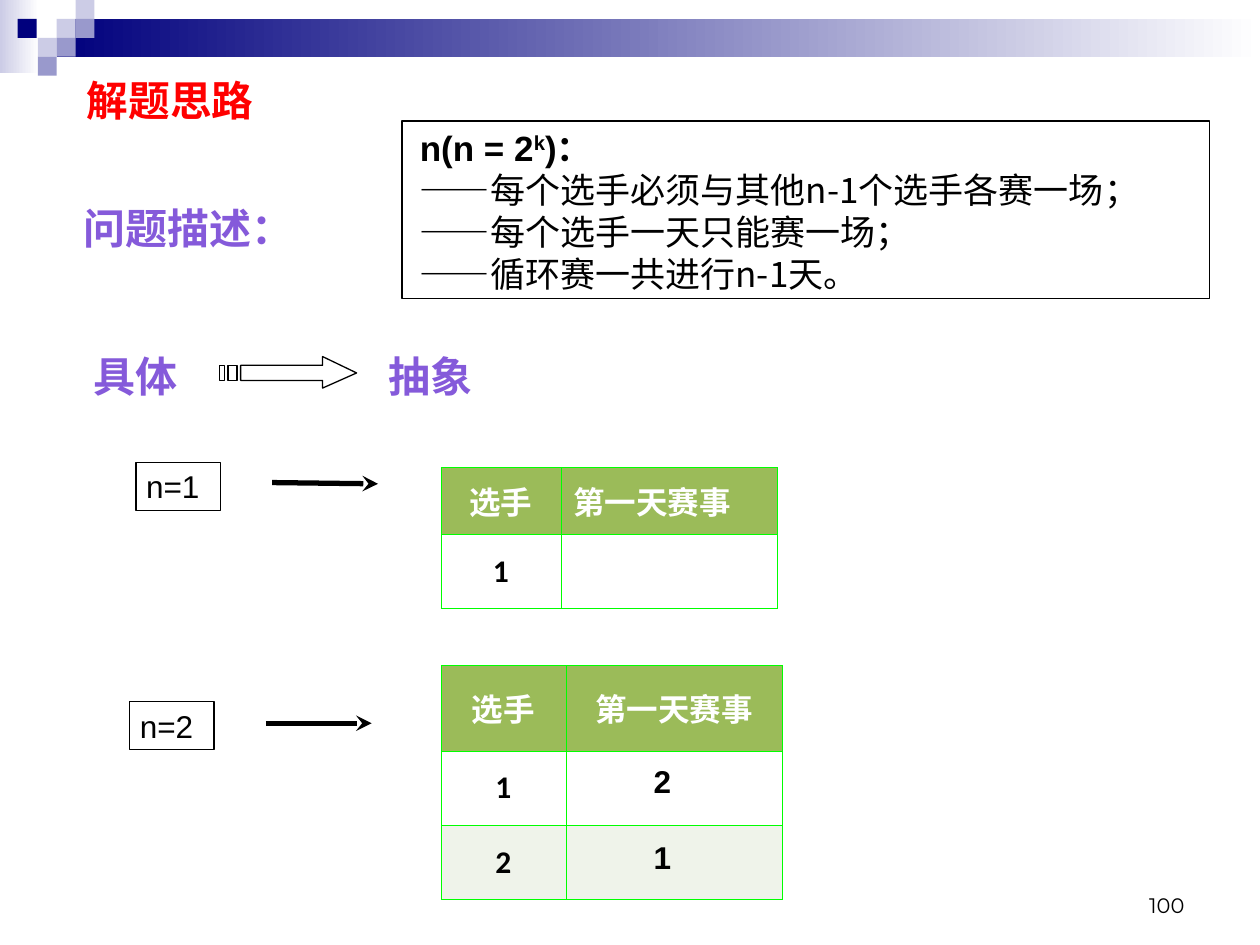
from lxml.etree import SubElement
from pptx import Presentation
from pptx.dml.color import RGBColor
from pptx.enum.shapes import MSO_CONNECTOR, MSO_SHAPE
from pptx.enum.text import MSO_ANCHOR, MSO_AUTO_SIZE, PP_ALIGN
from pptx.oxml.ns import qn
from pptx.util import Inches, Pt

BLACK, WHITE, PURPLE, RED = "000000", "FFFFFF", "855ADA", "FF0000"
NAVY, LILAC, PALE = "00007D", "9999CC", "CCCCE6"
GREEN, BORDER, BAND = "9BBB59", "00FF00", "EFF3EA"
ARIAL, CJK = "Arial", "Noto Sans CJK SC"


def rgb(value):
    """Turn a hex string into a colour."""
    return RGBColor.from_string(value)


class Deck:
    """Style and current slide."""

    def __init__(self, prs):
        """Add a title-only slide."""
        self.s = prs.slides.add_slide(prs.slide_layouts[5])

    def run(self, p, text, size, color=BLACK, font=ARIAL, bold=False, base=None):
        """Add one formatted run to a paragraph."""
        r = p.add_run()
        r.text = text
        f = r.font
        f.size, f.bold, f.name = Pt(size), bold, font
        f.color.rgb = rgb(color)
        rpr = r._r.get_or_add_rPr()
        SubElement(rpr, qn("a:ea")).set("typeface", CJK)
        if base:
            rpr.set("baseline", str(base * 1000))

    def frame(self, tf, x=0.1, y=0.05, wrap=True, anchor=MSO_ANCHOR.TOP):
        """Set margins, wrapping and anchor of a text frame."""
        tf.margin_left = tf.margin_right = Inches(x)
        tf.margin_top = tf.margin_bottom = Inches(y)
        tf.word_wrap, tf.vertical_anchor = wrap, anchor
        tf.auto_size = MSO_AUTO_SIZE.NONE
        return tf

    def title(self, text, box):
        """Place and fill the title placeholder."""
        sp = self.s.shapes.title
        sp.left, sp.top, sp.width, sp.height = map(Inches, box)
        p = self.frame(sp.text_frame, anchor=MSO_ANCHOR.MIDDLE).paragraphs[0]
        p.alignment = PP_ALIGN.LEFT
        self.run(p, text, 23.8, RED, bold=True)

    def text(self, text, box, size, spacing=None, align=PP_ALIGN.LEFT,
             frame=None, **style):
        """Add a one-line text box."""
        sp = self.s.shapes.add_textbox(*map(Inches, box))
        p = self.frame(sp.text_frame, **(frame or {})).paragraphs[0]
        p.alignment = align
        if spacing:
            p.line_spacing = spacing
        self.run(p, text, size, **style)

    def label(self, text, box):
        """Add a purple heading."""
        self.text(text, box, 24, 1.4, frame=dict(x=0.08, y=0.04),
                  color=PURPLE, bold=True)

    def rect(self, box, *colors):
        """Add a borderless rectangle, plain or with a gradient."""
        sp = self.s.shapes.add_shape(MSO_SHAPE.RECTANGLE, *map(Inches, box))
        sp.shadow.inherit = False
        sp.line.fill.background()
        if len(colors) > 1:
            sp.fill.gradient()
            sp.fill.gradient_angle = 0
            for stop, color in zip(sp.fill.gradient_stops, colors):
                stop.color.rgb = rgb(color)
        elif colors:
            sp.fill.solid()
            sp.fill.fore_color.rgb = rgb(colors[0])
        else:
            sp.fill.background()
        return sp

    def boxed(self, lines, box):
        """Add a framed box; each line is a list of run settings."""
        sp = self.rect(box)
        sp.line.color.rgb, sp.line.width = rgb(BLACK), Pt(0.74)
        tf = self.frame(sp.text_frame, 0.08, 0.04)
        for i, runs in enumerate(lines):
            p = tf.add_paragraph() if i else tf.paragraphs[0]
            p.alignment = PP_ALIGN.LEFT
            for style in runs:
                self.run(p, **style)

    def arrow(self, x, y, dy=0):
        """Add a thick arrow to the right."""
        ends = x, y, x + 0.84, y + dy
        c = self.s.shapes.add_connector(MSO_CONNECTOR.STRAIGHT, *map(Inches, ends))
        c.line.color.rgb, c.line.width = rgb(BLACK), Pt(3)
        SubElement(c.line._get_or_add_ln(), qn("a:tailEnd")).set("type", "stealth")
        SubElement(c._element.spPr, qn("a:effectLst"))

    def outline(self, *paths):
        """Add a half-transparent freeform of closed outlines."""
        paths = [[(Inches(x), Inches(y)) for x, y in path] for path in paths]
        fb = self.s.shapes.build_freeform(*paths[0][0])
        for i, path in enumerate(paths):
            if i:
                fb.move_to(*path[0])
            fb.add_line_segments(path[1:], close=True)
        sp = fb.convert_to_shape()
        sp.shadow.inherit = False
        sp.fill.solid()
        sp.fill.fore_color.rgb = rgb(WHITE)
        color = sp._element.spPr.find(qn("a:solidFill"))[0]
        SubElement(color, qn("a:alpha")).set("val", "50000")
        sp.line.color.rgb, sp.line.width = rgb(BLACK), Pt(0.74)

    def border(self, cell):
        """Draw thin green lines around a cell."""
        tcpr = cell._tc.get_or_add_tcPr()
        for i, side in enumerate("LRTB"):
            ln = SubElement(tcpr, qn("a:ln" + side))
            ln.set("w", str(Pt(0.11)))
            fill = SubElement(ln, qn("a:solidFill"))
            SubElement(fill, qn("a:srgbClr")).set("val", BORDER)
            tcpr.insert(i, ln)

    def table(self, x, y, widths, heights, rows, head_align):
        """Add a match table with a green head and banded rows."""
        size = x, y, sum(widths), sum(heights)
        t = self.s.shapes.add_table(len(rows), len(widths), *map(Inches, size)).table
        for col, w in zip(t.columns, widths):
            col.width = Inches(w)
        for i, (row, h) in enumerate(zip(rows, heights)):
            t.rows[i].height = Inches(h)
            for j, text in enumerate(row):
                cell = t.cell(i, j)
                cell.vertical_anchor = MSO_ANCHOR.MIDDLE
                if i == 1:
                    cell.fill.background()
                else:
                    cell.fill.solid()
                    cell.fill.fore_color.rgb = rgb(BAND if i else GREEN)
                self.border(cell)
                if text:
                    p = cell.text_frame.paragraphs[0]
                    p.space_before = Pt(4.5)
                    p.alignment = head_align if j else PP_ALIGN.CENTER
                    self.run(p, text, 18, BLACK if i else WHITE, "Calibri", True)


prs = Presentation()
prs.slide_width, prs.slide_height = Inches(10), Inches(7.5)
d = Deck(prs)

d.rect((0, 0, 0.31, 0.58), PALE, WHITE)
d.rect((0.45, 0.15, 9.55, 0.3), NAVY, WHITE)
for x, y, color in [(0.45, 0.15, PALE), (0.6, 0, PALE), (0.6, 0.15, LILAC),
                    (0.3, 0.3, PALE), (0.14, 0.15, NAVY), (0.45, 0.3, LILAC),
                    (0.3, 0.45, LILAC)]:
    d.rect((x, y, 0.15, 0.15), color)

d.title("解题思路", (0.59, 0.53, 6.76, 0.53))
d.text("100", (7.17, 6.83, 2.33, 0.5), 12, align=PP_ALIGN.RIGHT,
       frame=dict(anchor=MSO_ANCHOR.BOTTOM), font="Montserrat")

d.label("问题描述：", (0.58, 1.41, 8.85, 0.64))
bold = dict(size=20, bold=True)
plain = dict(size=20, font=CJK)
rules = ["每个选手必须与其他n-1个选手各赛一场；", "每个选手一天只能赛一场；",
         "循环赛一共进行n-1天。"]
d.boxed([[dict(text=" ", **plain), dict(text="n(n = 2", **bold),
          dict(text="k", base=30, **bold), dict(text=")：", **bold)]]
        + [[dict(text=" ——" + rule, **plain)] for rule in rules],
        (3.19, 0.96, 6.41, 1.41))

d.label("具体", (0.66, 2.58, 1.09, 0.64))
d.outline([(2.56, 2.83), (2.56, 2.9), (1.91, 2.9), (1.91, 3.02),
           (2.56, 3.02), (2.56, 3.08), (2.83, 2.96)],
          *[[(a, 2.9), (a, 3.02), (b, 3.02), (b, 2.9)]
            for a, b in [(1.81, 1.88), (1.74, 1.78)]])
d.label("抽象", (3, 2.58, 1.09, 0.64))

for text, x, y in [("n=1", 1.08, 3.67), ("n=2", 1.03, 5.57)]:
    d.boxed([[dict(text=text, size=18)]], (x, y, 0.67, 0.38))
d.arrow(2.16, 3.83, 0.01)
d.arrow(2.11, 5.74)

head = ["选手", "第一天赛事"]
d.table(3.5, 3.71, [0.95, 1.72], [0.53, 0.59], [head, ["1", ""]], PP_ALIGN.LEFT)
d.table(3.5, 5.28, [0.99, 1.72], [0.68, 0.59, 0.59],
        [head, ["1", ""], ["2", ""]], PP_ALIGN.CENTER)
for rival, y in [("1", 6.6), ("2", 6)]:
    d.text(rival, (5.09, y, 0.34, 0.4), 18, frame=dict(wrap=False), bold=True)

prs.save("out.pptx")
